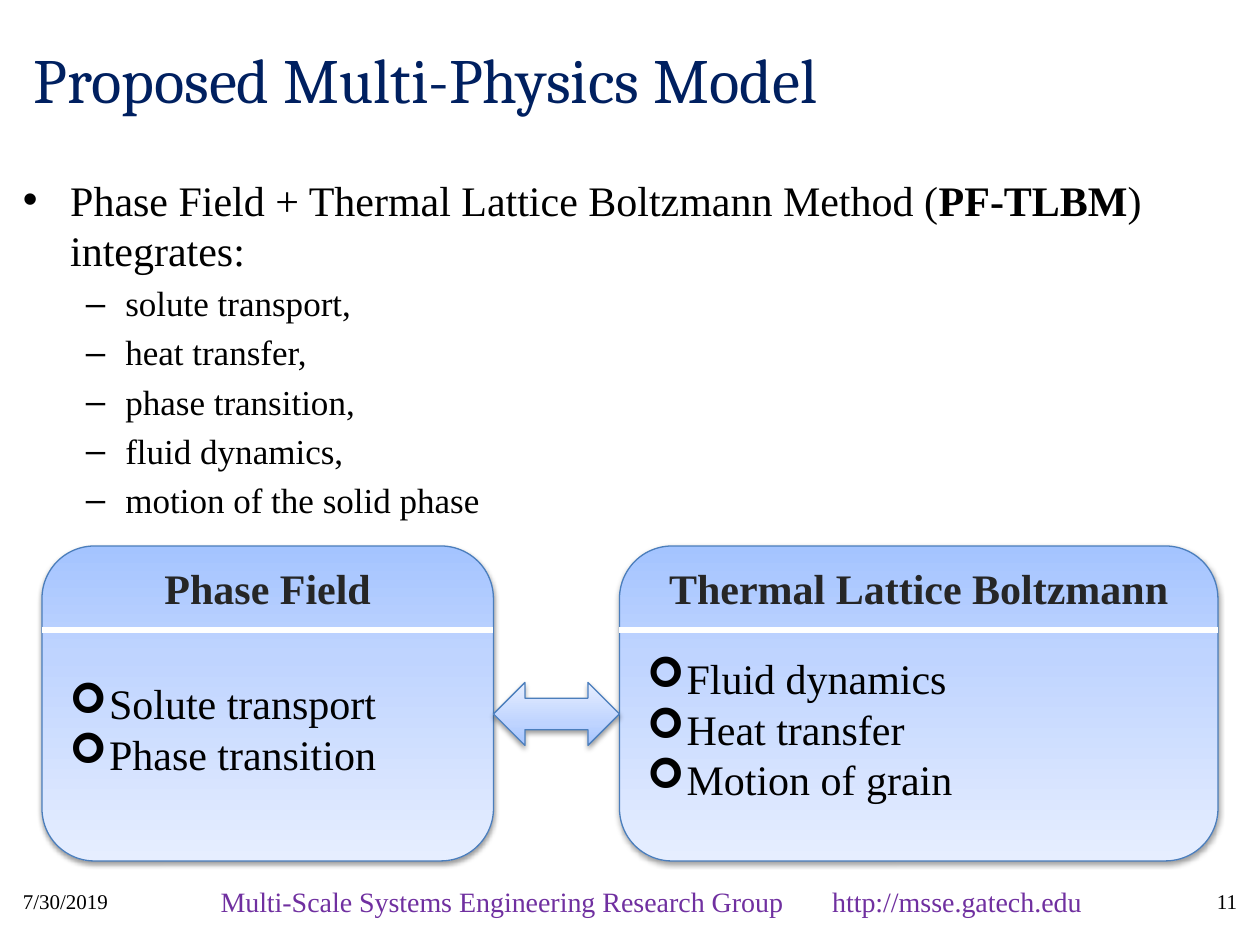
from lxml.etree import SubElement
from pptx import Presentation
from pptx.dml.color import RGBColor
from pptx.enum.shapes import MSO_CONNECTOR, MSO_SHAPE
from pptx.enum.text import MSO_ANCHOR, MSO_AUTO_SIZE, PP_ALIGN
from pptx.oxml.ns import qn
from pptx.util import Pt

# Content
TITLE = "Proposed Multi-Physics Model"
LEAD = [("Phase Field + Thermal Lattice Boltzmann Method (", False),
        ("PF-TLBM", True), (") integrates:", False)]
PARTS = ["solute transport,", "heat transfer,", "phase transition,",
         "fluid dynamics,", "motion of the solid phase"]
# Heading, items, left, width
CARDS = [
    ("Phase Field", ["Solute transport", "Phase transition"], 24, 258),
    ("Thermal Lattice Boltzmann",
     ["Fluid dynamics", "Heat transfer", "Motion of grain"], 354, 342),
]
DATE, PAGE = "7/30/2019", "11"
GROUP = "Multi-Scale Systems Engineering Research Group\thttp://msse.gatech.edu"

# Style
SERIF = "Times New Roman"
NAVY = RGBColor(0x00, 0x20, 0x60)
BLACK = RGBColor(0, 0, 0)
WHITE = RGBColor(255, 255, 255)
GREY = RGBColor(0x26, 0x26, 0x26)
PLUM = RGBColor(0x70, 0x30, 0xA0)
EDGE = RGBColor(0x4B, 0x7E, 0xBC)
STOPS = [(0, "A4C4FF"), (35, "BFD4FF"), (100, "E6EEFF")]
TOP, HIGH, RULE = 312, 180, 360
FOOT = 500.5


def style(para, size, color=BLACK, face=SERIF, bold=None):
    font = para.font
    font.name, font.size, font.bold = face, Pt(size), bold
    font.color.rgb = color


def bullet(para, mark, left, hang, face="Arial"):
    props = para._p.get_or_add_pPr()
    props.set("marL", str(Pt(left)))
    props.set("indent", str(-Pt(hang)))
    SubElement(props, qn("a:buFont"), typeface=face)
    SubElement(props, qn("a:buChar"), char=mark)


def add_box(left, top, width, height, anchor=MSO_ANCHOR.TOP):
    box = slide.shapes.add_textbox(Pt(left), Pt(top), Pt(width), Pt(height))
    frame = box.text_frame
    frame.word_wrap = True
    frame.vertical_anchor = anchor
    return frame


def add_label(text, left, top, width, height, size, align, color=BLACK,
              bold=None):
    frame = add_box(left, top, width, height, MSO_ANCHOR.MIDDLE)
    para = frame.paragraphs[0]
    para.text, para.alignment = text, align
    style(para, size, color, bold=bold)
    return frame


def add_solid(kind, left, top, width, height, angle):
    """Add a shape with the blue gradient, thin edge and soft shadow."""
    shape = slide.shapes.add_shape(kind, Pt(left), Pt(top), Pt(width),
                                   Pt(height))
    shape.fill.gradient()
    shape.fill.gradient_angle = angle
    stops = shape._element.spPr.find(".//" + qn("a:gsLst"))
    stops.clear()
    for pos, color in STOPS:
        stop = SubElement(stops, qn("a:gs"), pos=str(pos * 1000))
        SubElement(stop, qn("a:srgbClr"), val=color)
    shape.line.color.rgb = EDGE
    shape.line.width = Pt(0.75)
    shape.shadow.inherit = False
    effects = shape._element.spPr.find(qn("a:effectLst"))
    shade = SubElement(effects, qn("a:outerShdw"), blurRad=str(Pt(3.1)),
                       dist=str(Pt(1.6)), dir="5400000", rotWithShape="0")
    tint = SubElement(shade, qn("a:srgbClr"), val="000000")
    SubElement(tint, qn("a:alpha"), val="38000")
    return shape


def add_rule(left, width):
    rule = slide.shapes.add_connector(MSO_CONNECTOR.STRAIGHT, Pt(left),
                                      Pt(RULE), Pt(left + width), Pt(RULE))
    rule.line.color.rgb = WHITE
    rule.line.width = Pt(3)
    SubElement(rule._element.spPr, qn("a:effectLst"))


def add_card(head, items, left, width):
    card = add_solid(MSO_SHAPE.ROUNDED_RECTANGLE, left, TOP, width, HIGH, 270)
    frame = card.text_frame
    frame.vertical_anchor = MSO_ANCHOR.MIDDLE
    frame.margin_top = Pt(32)  # centres the list below the heading
    for i, item in enumerate(items):
        para = frame.add_paragraph() if i else frame.paragraphs[0]
        para.text, para.alignment = item, PP_ALIGN.LEFT
        bullet(para, "➢", 22.5, 22.5, "Wingdings")
        style(para, 24)
    add_rule(left, width)
    add_label(head, left + 18, 318, width - 36, 36, 24, PP_ALIGN.CENTER,
              GREY, True)


deck = Presentation()
deck.slide_width, deck.slide_height = Pt(720), Pt(540)
slide = deck.slides.add_slide(deck.slide_layouts[5])

# Title
title = slide.shapes.title
title.left, title.top, title.width, title.height = Pt(12), Pt(0), Pt(570), Pt(90)
title.text_frame.text = TITLE
title.text_frame.auto_size = MSO_AUTO_SIZE.NONE
title.text_frame.vertical_anchor = MSO_ANCHOR.MIDDLE
title.text_frame.paragraphs[0].alignment = PP_ALIGN.LEFT
style(title.text_frame.paragraphs[0], 36, NAVY, "Cambria")

# Body list
body = add_box(6, 96, 708, 396)
lead = body.paragraphs[0]
for text, bold in LEAD:
    run = lead.add_run()
    run.text, run.font.bold = text, bold
bullet(lead, "•", 27, 27)
style(lead, 24)
for part in PARTS:
    para = body.add_paragraph()
    para.text, para.space_before = part, Pt(4)
    bullet(para, "–", 58.5, 22.5)
    style(para, 20)

# Cards and the arrow between them
for card in CARDS:
    add_card(*card)
start = CARDS[0][2] + CARDS[0][3]
add_solid(MSO_SHAPE.LEFT_RIGHT_ARROW, start, 390, CARDS[1][2] - start, 36, 90)

# Footer
add_label(DATE, 6, FOOT, 66, 28.5, 12, PP_ALIGN.LEFT)
foot = add_label(GROUP, 114, FOOT, 516, 28.5, 16, PP_ALIGN.LEFT, PLUM)
foot.margin_left = Pt(12)
props = foot.paragraphs[0]._p.get_or_add_pPr()
tabs = SubElement(props, qn("a:tabLst"))
SubElement(tabs, qn("a:tab"), pos=str(Pt(349.5)), algn="l")
props.insert(0, tabs)  # tab stops come before the font settings
add_label(PAGE, 678, FOOT, 36, 28.5, 12, PP_ALIGN.RIGHT)

deck.save("out.pptx")
